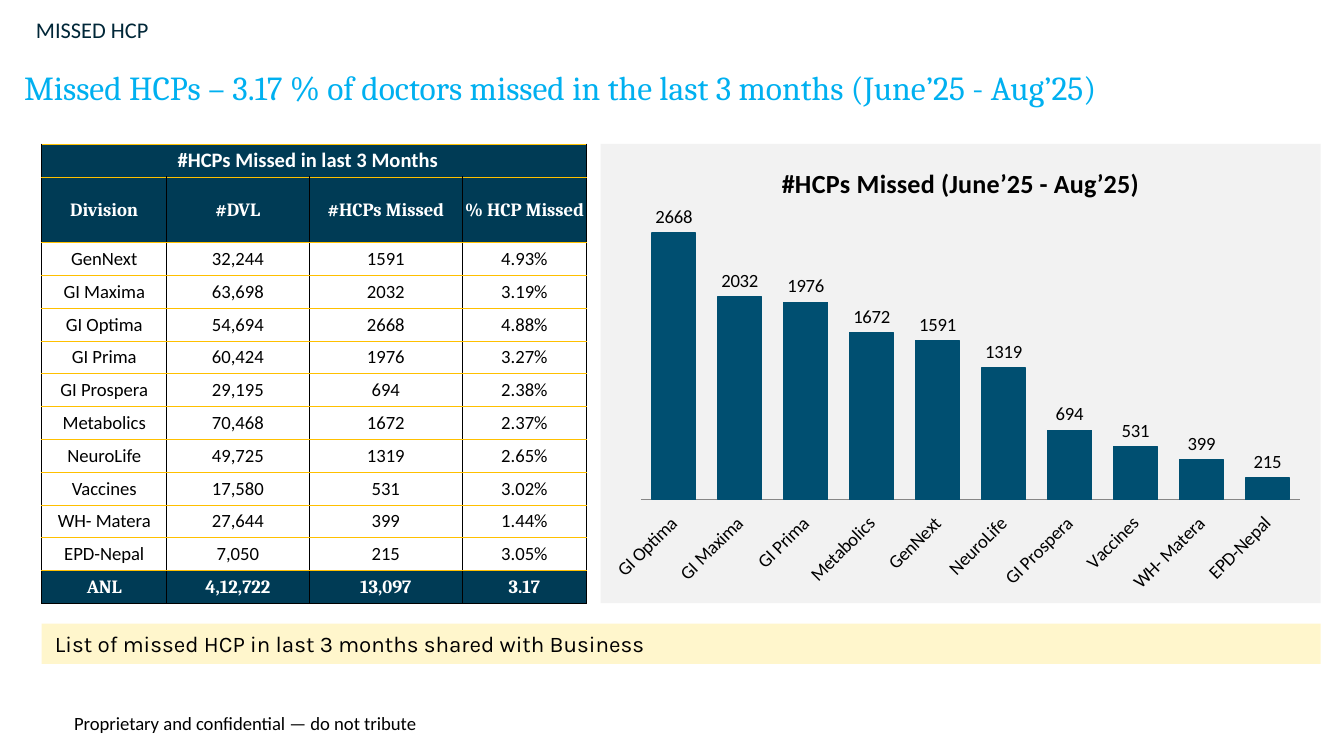
from lxml.etree import SubElement
from pptx import Presentation
from pptx.chart.data import CategoryChartData
from pptx.dml.color import RGBColor
from pptx.enum.chart import XL_CHART_TYPE, XL_LABEL_POSITION, XL_TICK_LABEL_POSITION, XL_TICK_MARK
from pptx.enum.shapes import MSO_SHAPE
from pptx.enum.text import MSO_ANCHOR, MSO_AUTO_SIZE, PP_ALIGN
from pptx.oxml import parse_xml
from pptx.oxml.ns import nsdecls, qn
from pptx.util import Cm, Pt

COLORS = {
    "navy": "003B55", "bar": "004F71", "title": "00B0F0", "section": "002738",
    "gold": "FFC000", "banner": "FFF6CC", "panel": "F2F2F2", "axis": "868686",
    "black": "000000", "white": "FFFFFF",
}
LEFT, TOP, ROW_H = 0.79, 2.72, 0.62
COL_WIDTHS = [2.36, 2.69, 2.9, 2.34]
CHART_LEFT, CHART_W = 11.35, 13.61
HEADERS = ["Division", "#DVL", "#HCPs Missed", "% HCP Missed"]
DIVISIONS = [
    ("GenNext", "32,244", 1591, "4.93%"),
    ("GI Maxima", "63,698", 2032, "3.19%"),
    ("GI Optima", "54,694", 2668, "4.88%"),
    ("GI Prima", "60,424", 1976, "3.27%"),
    ("GI Prospera", "29,195", 694, "2.38%"),
    ("Metabolics", "70,468", 1672, "2.37%"),
    ("NeuroLife", "49,725", 1319, "2.65%"),
    ("Vaccines", "17,580", 531, "3.02%"),
    ("WH- Matera", "27,644", 399, "1.44%"),
    ("EPD-Nepal", "7,050", 215, "3.05%"),
]
TOTALS = ["ANL", "4,12,722", "13,097", "3.17"]


def rgb(name):
    return RGBColor.from_string(COLORS[name])


def style(font, size, color="black", name="Calibri", bold=False):
    font.size, font.name, font.bold = Pt(size), name, bold
    font.color.rgb = rgb(color)


def write(s, text, size, color="black", name="Calibri", anchor=MSO_ANCHOR.TOP):
    tf = s.text_frame
    tf.word_wrap = True
    tf.auto_size = MSO_AUTO_SIZE.NONE
    tf.vertical_anchor = anchor
    p = tf.paragraphs[0]
    p.text = text
    p.alignment = PP_ALIGN.LEFT
    style(p.font, size, color, name)
    return tf


def add_text(slide, box, text, size, color="black", anchor=MSO_ANCHOR.TOP):
    s = slide.shapes.add_textbox(*map(Cm, box))
    return write(s, text, size, color, anchor=anchor)


def add_title(slide, text):
    s = slide.shapes.title
    s.left, s.top, s.width, s.height = Cm(0.2), Cm(1.14), Cm(25.58), Cm(1.02)
    write(s, text, 18, "title", "Cambria")


def add_banner(slide, text):
    s = slide.shapes.add_shape(MSO_SHAPE.RECTANGLE, Cm(LEFT), Cm(11.79),
                               Cm(CHART_LEFT + CHART_W - LEFT), Cm(0.76))
    s.shadow.inherit = False
    s.fill.solid()
    s.fill.fore_color.rgb = rgb("banner")
    s.line.fill.background()
    write(s, text, 12, name="Karla", anchor=MSO_ANCHOR.MIDDLE)


def set_borders(cell, bottom="gold"):
    edges = {"L": ("black", 0.5), "R": ("black", 0.5), "T": ("gold", 0.25),
             "B": (bottom, 0.5 if bottom == "black" else 0.25)}
    tc_pr = cell._tc.get_or_add_tcPr()
    for side, (color, width) in edges.items():
        ln = SubElement(tc_pr, qn(f"a:ln{side}"), w=str(Pt(width)))
        SubElement(SubElement(ln, qn("a:solidFill")), qn("a:srgbClr"), val=COLORS[color])


def fill_cell(cell, text, size=10, name="Calibri", dark=False, bottom="gold"):
    set_borders(cell, bottom)
    if dark:
        cell.fill.solid()
        cell.fill.fore_color.rgb = rgb("navy")
    else:
        cell.fill.background()
    cell.margin_left = cell.margin_right = cell.margin_top = Cm(0.02)
    cell.margin_bottom = 0
    cell.vertical_anchor = MSO_ANCHOR.MIDDLE
    p = cell.text_frame.paragraphs[0]
    p.text = str(text)
    p.alignment = PP_ALIGN.CENTER
    style(p.font, size, "white" if dark else "black", name, dark)


def add_division_table(slide):
    rows = [HEADERS, *DIVISIONS, TOTALS]
    table = slide.shapes.add_table(len(rows) + 1, len(HEADERS), Cm(LEFT), Cm(TOP),
                                   Cm(sum(COL_WIDTHS)), Cm(ROW_H * (len(rows) + 2))).table
    for column, width in zip(table.columns, COL_WIDTHS):
        column.width = Cm(width)
    for i, row in enumerate(table.rows):
        row.height = Cm(ROW_H * (2 if i == 1 else 1))

    # Heading across all columns
    for cell in table.rows[0].cells:
        fill_cell(cell, "", 11, dark=True)
    heading = table.cell(0, 0)
    heading.merge(table.cell(0, len(HEADERS) - 1))
    p = heading.text_frame.paragraphs[0]
    p.text = "#HCPs Missed in last 3 Months"
    heading.margin_right = Cm(0.25)

    # Column names, divisions and totals
    for i, row in enumerate(rows, start=1):
        dark = row in (HEADERS, TOTALS)
        for j, value in enumerate(row):
            fill_cell(table.cell(i, j), value, name="Cambria" if dark else "Calibri",
                      dark=dark, bottom="black" if row is TOTALS else "gold")


def set_plot_area(chart, x, y, w, h):
    plot_area = chart._chartSpace.chart.plotArea
    for old in plot_area.findall(qn("c:layout")):
        plot_area.remove(old)
    plot_area.insert(0, parse_xml(
        f'<c:layout {nsdecls("c")}><c:manualLayout><c:layoutTarget val="inner"/>'
        '<c:xMode val="edge"/><c:yMode val="edge"/>'
        f'<c:x val="{x}"/><c:y val="{y}"/><c:w val="{w}"/><c:h val="{h}"/>'
        '</c:manualLayout></c:layout>'))


def add_missed_chart(slide):
    ranked = sorted(DIVISIONS, key=lambda d: d[2], reverse=True)
    data = CategoryChartData()
    data.categories = [d[0] for d in ranked]
    data.add_series("Series 1", [d[2] for d in ranked])
    chart = slide.shapes.add_chart(
        XL_CHART_TYPE.COLUMN_CLUSTERED, Cm(CHART_LEFT), Cm(TOP), Cm(CHART_W),
        Cm(ROW_H * (len(DIVISIONS) + 4)), data).chart
    style(chart.font, 10)
    chart.has_legend = False
    chart.has_title = True
    p = chart.chart_title.text_frame.paragraphs[0]
    p.text = "#HCPs Missed (June’25 - Aug’25)"
    style(p.font, 14, bold=True)
    chart.chart_title.include_in_layout = False
    set_plot_area(chart, 0.056, 0.122, 0.916, 0.653)

    # Panel behind the chart
    sp_pr = parse_xml(
        f'<c:spPr {nsdecls("c", "a")}><a:solidFill><a:srgbClr val="{COLORS["panel"]}"/>'
        '</a:solidFill><a:ln><a:noFill/></a:ln></c:spPr>')
    chart._chartSpace.chart.addnext(sp_pr)

    # Axes
    chart.value_axis.visible = False
    chart.value_axis.has_major_gridlines = False
    chart.value_axis.minimum_scale = 0
    axis = chart.category_axis
    axis.major_tick_mark = axis.minor_tick_mark = XL_TICK_MARK.NONE
    axis.tick_label_position = XL_TICK_LABEL_POSITION.LOW
    axis.format.line.color.rgb = rgb("axis")
    style(axis.tick_labels.font, 10)
    axis._element.find(qn("c:txPr")).find(qn("a:bodyPr")).set("rot", "-2700000")

    # Bars and their values
    plot = chart.plots[0]
    plot.gap_width = 50
    plot.vary_by_categories = False
    bars = plot.series[0].format
    bars.fill.solid()
    bars.fill.fore_color.rgb = rgb("bar")
    bars.line.color.rgb = rgb("bar")
    bars.line.width = Pt(0.75)
    plot.has_data_labels = True
    labels = plot.data_labels
    labels.show_value = True
    labels.position = XL_LABEL_POSITION.OUTSIDE_END
    style(labels.font, 10)


def main():
    prs = Presentation()
    prs.slide_width, prs.slide_height = Cm(25.4), Cm(14.29)
    slide = prs.slides.add_slide(prs.slide_layouts[5])

    # Headings
    add_title(slide, "Missed HCPs – 3.17 % of doctors missed in the last 3 months (June’25 - Aug’25)")
    add_text(slide, (0.43, 0.18, 6.15, 0.76), "MISSED HCP", 12, "section")

    # Content
    add_division_table(slide)
    add_missed_chart(slide)
    add_banner(slide, "List of missed HCP in last 3 months shared with Business")

    # Footer
    tf = add_text(slide, (1.4, 13.39, 8.48, 0.61),
                  "Proprietary and confidential — do not tribute", 10, anchor=MSO_ANCHOR.BOTTOM)
    tf.margin_left = tf.margin_right = 0

    prs.save("out.pptx")


if __name__ == "__main__":
    main()
